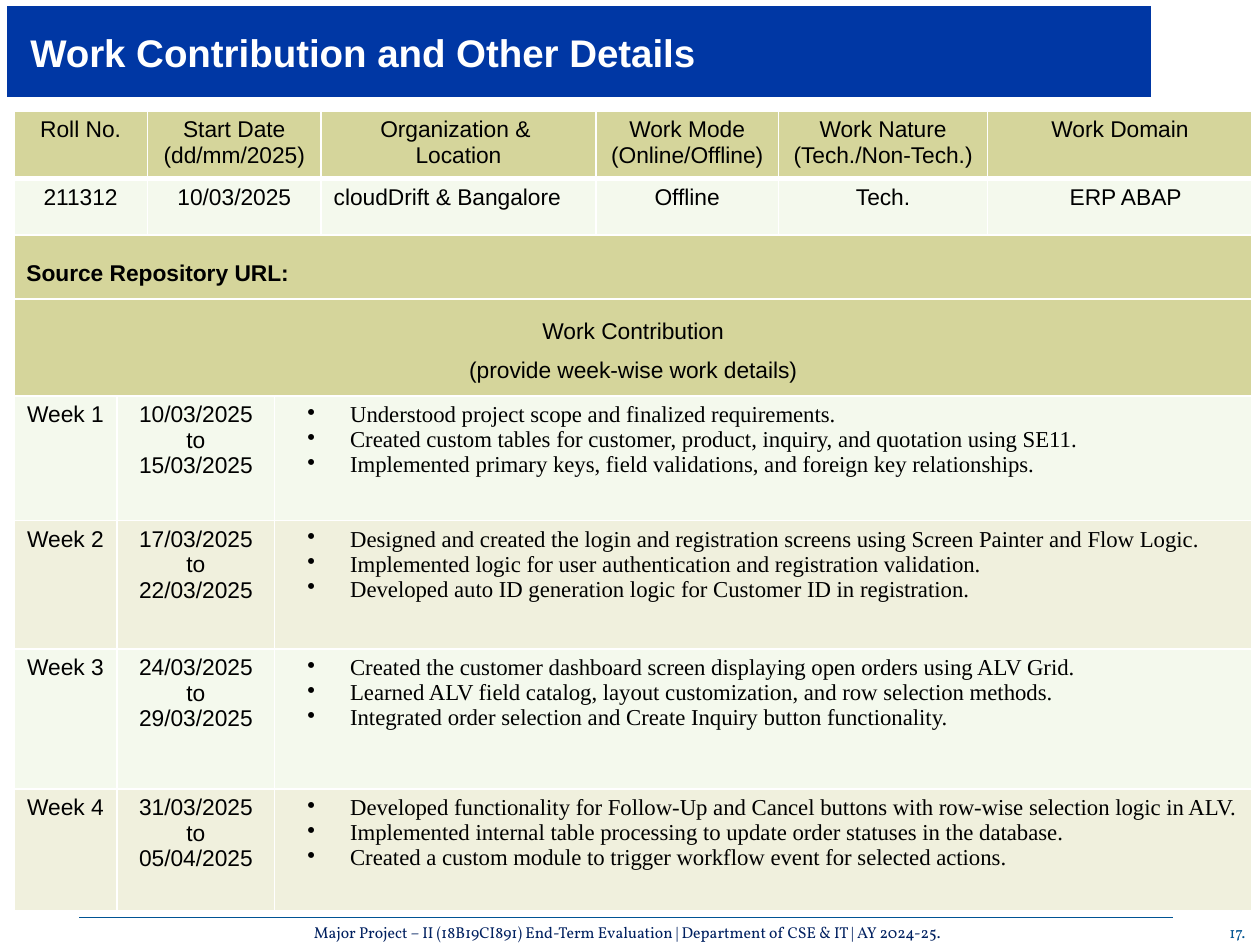
from lxml.etree import SubElement
from pptx import Presentation
from pptx.dml.color import RGBColor
from pptx.enum.shapes import MSO_CONNECTOR
from pptx.enum.text import MSO_ANCHOR as Anchor, MSO_AUTO_SIZE as Fit, PP_ALIGN as Align
from pptx.oxml import parse_xml
from pptx.oxml.ns import nsdecls, qn
from pptx.util import Inches, Pt

BLUE = RGBColor(0x00, 0x37, 0xA4)
NAVY = RGBColor(0x00, 0x20, 0x60)
TEAL = RGBColor(0x00, 0x54, 0x93)
WHITE = RGBColor(0xFF, 0xFF, 0xFF)
BLACK = RGBColor(0x00, 0x00, 0x00)
OLIVE = RGBColor(0xD5, 0xD5, 0x9B)
MINT = RGBColor(0xF4, 0xF9, 0xED)
CREAM = RGBColor(0xF0, 0xF0, 0xDD)

COLS = [0.82, 0.21, 1.01, 0.37, 2.18, 1.45, 1.66, 2.1]
ROWS = [0.53, 0.45, 0.51, 0.71, 0.99, 1.02, 1.11, 0.97]
STARTS = [0, 2, 4, 5, 6, 7]
HEADS = ["Roll No.", "Start Date\n(dd/mm/2025)", "Organization & \nLocation",
         "Work Mode\n(Online/Offline)", "Work Nature\v(Tech./Non-Tech.)", "Work Domain"]
FACTS = ["211312", "10/03/2025", "cloudDrift & Bangalore", "Offline", "Tech.", "ERP ABAP"]
WEEKS = [
    ("10/03/2025 to 15/03/2025", [
        "Understood project scope and finalized requirements.",
        "Created custom tables for customer, product, inquiry, and quotation using SE11.",
        "Implemented primary keys, field validations, and foreign key relationships."]),
    ("17/03/2025 to 22/03/2025", [
        "Designed and created the login and registration screens using Screen Painter and Flow Logic.",
        "Implemented logic for user authentication and registration validation.",
        "Developed auto ID generation logic for Customer ID in registration."]),
    ("24/03/2025 to 29/03/2025", [
        "Created the customer dashboard screen displaying open orders using ALV Grid.",
        "Learned ALV field catalog, layout customization, and row selection methods.",
        "Integrated order selection and Create Inquiry button functionality."]),
    ("31/03/2025 to 05/04/2025", [
        "Developed functionality for Follow-Up and Cancel buttons with row-wise selection logic in ALV.",
        "Implemented internal table processing to update order statuses in the database.",
        "Created a custom module to trigger workflow event for selected actions."]),
]


def style(para, size, color, face="Arial", bold=False, align=Align.CENTER):
    font = para.font
    font.size, font.name, font.bold = Pt(size), face, bold
    font.color.rgb = color
    para.alignment = align


def indent(para, left, first=0):
    props = para._p.get_or_add_pPr()
    props.set("marL", str(Inches(left)))
    props.set("indent", str(Inches(first)))
    return props


def put(table, row, col, text, fill, span=1, **look):
    cell = table.cell(row, col)
    if span > 1:
        cell.merge(table.cell(row, col + span - 1))
    cell.fill.solid()
    cell.fill.fore_color.rgb = fill
    cell.text_frame.text = text
    for para in cell.text_frame.paragraphs:
        style(para, 13, BLACK, **look)
    return cell


def rule_under(cell, width):
    """Thick white line below a table cell."""
    cell._tc.get_or_add_tcPr().insert(0, parse_xml(
        f'<a:lnB {nsdecls("a")} w="{Pt(width)}"><a:solidFill>'
        f'<a:srgbClr val="{WHITE}"/></a:solidFill></a:lnB>'))


def add_title(slide, text):
    title = slide.shapes.title
    title.left, title.top = Inches(0.04), Inches(0.03)
    title.width, title.height = Inches(9.11), Inches(0.76)
    title.fill.solid()
    title.fill.fore_color.rgb = BLUE
    title.line.color.rgb = WHITE
    title.line.width = Pt(2.5)
    frame = title.text_frame
    frame.text = text
    frame.auto_size = Fit.NONE
    frame.vertical_anchor = Anchor.MIDDLE
    style(frame.paragraphs[0], 22, WHITE, bold=True, align=Align.LEFT)
    indent(frame.paragraphs[0], 0.1)


def add_grid(slide):
    table = slide.shapes.add_table(
        len(ROWS), len(COLS), Inches(0.11), Inches(0.88),
        Inches(sum(COLS)), Inches(sum(ROWS))).table
    table.first_row = table.horz_banding = False
    for col, width in zip(table.columns, COLS):
        col.width = Inches(width)
    for row, height in zip(table.rows, ROWS):
        row.height = Inches(height)
    return table


def fill_facts(table):
    ends = STARTS[1:] + [len(COLS)]
    for start, end, head, fact in zip(STARTS, ends, HEADS, FACTS):
        put(table, 0, start, head, OLIVE, end - start)
        align = Align.LEFT if start == 4 else Align.CENTER
        cell = put(table, 1, start, fact, MINT, end - start, align=align)
    indent(cell.text_frame.paragraphs[0], 0.19, -0.1)
    for cell in table.rows[0].cells:
        rule_under(cell, 3)

    link = put(table, 2, 0, "Source Repository URL:", OLIVE, len(COLS),
               bold=True, align=Align.LEFT)
    link.vertical_anchor = Anchor.MIDDLE
    link.text_frame.paragraphs[0].line_spacing = 1.5
    work = put(table, 3, 0, "Work Contribution\v(provide week-wise work details)",
               OLIVE, len(COLS))
    work.text_frame.paragraphs[0].line_spacing = 1.54


def fill_weeks(table):
    for num, (dates, tasks) in enumerate(WEEKS, 1):
        row = num + 3
        fill = MINT if num % 2 else CREAM
        put(table, row, 0, f"Week {num}", fill)
        put(table, row, 1, dates, fill, 2)
        cell = put(table, row, 3, "\n".join(tasks), fill, 5,
                   face="Times New Roman", align=Align.JUSTIFY)
        for para in cell.text_frame.paragraphs:
            props = indent(para, 0.5, -0.34)
            bullet = parse_xml(f'<a:buChar {nsdecls("a")} char="•"/>')
            props.insert_element_before(bullet, "a:tabLst", "a:defRPr", "a:extLst")


def add_note(slide, box, text, color, anchor):
    frame = slide.shapes.add_textbox(*map(Inches, box)).text_frame
    frame.word_wrap = True
    frame.vertical_anchor = anchor
    frame.text = text
    style(frame.paragraphs[0], 9, color, "Vollkorn")


def add_rule(slide):
    line = slide.shapes.add_connector(
        MSO_CONNECTOR.STRAIGHT, Inches(0.63), Inches(7.28), Inches(9.31), Inches(7.28))
    line.line.color.rgb = TEAL
    line.line.width = Pt(0.75)
    SubElement(line._element.spPr, qn("a:effectLst"))


def main():
    deck = Presentation()
    deck.slide_width, deck.slide_height = Inches(10), Inches(7.5)
    slide = deck.slides.add_slide(deck.slide_layouts[5])
    add_note(slide, (0.22, 7.31, 9.51, 0.21),
             "Major Project – II (18B19CI891) End-Term Evaluation"
             " | Department of CSE & IT | AY 2024-25.", NAVY, Anchor.BOTTOM)
    add_note(slide, (9.62, 7.27, 0.4, 0.25), "17.", TEAL, Anchor.TOP)
    add_rule(slide)
    add_title(slide, "Work Contribution and Other Details")
    table = add_grid(slide)
    fill_facts(table)
    fill_weeks(table)
    deck.save("out.pptx")


if __name__ == "__main__":
    main()
